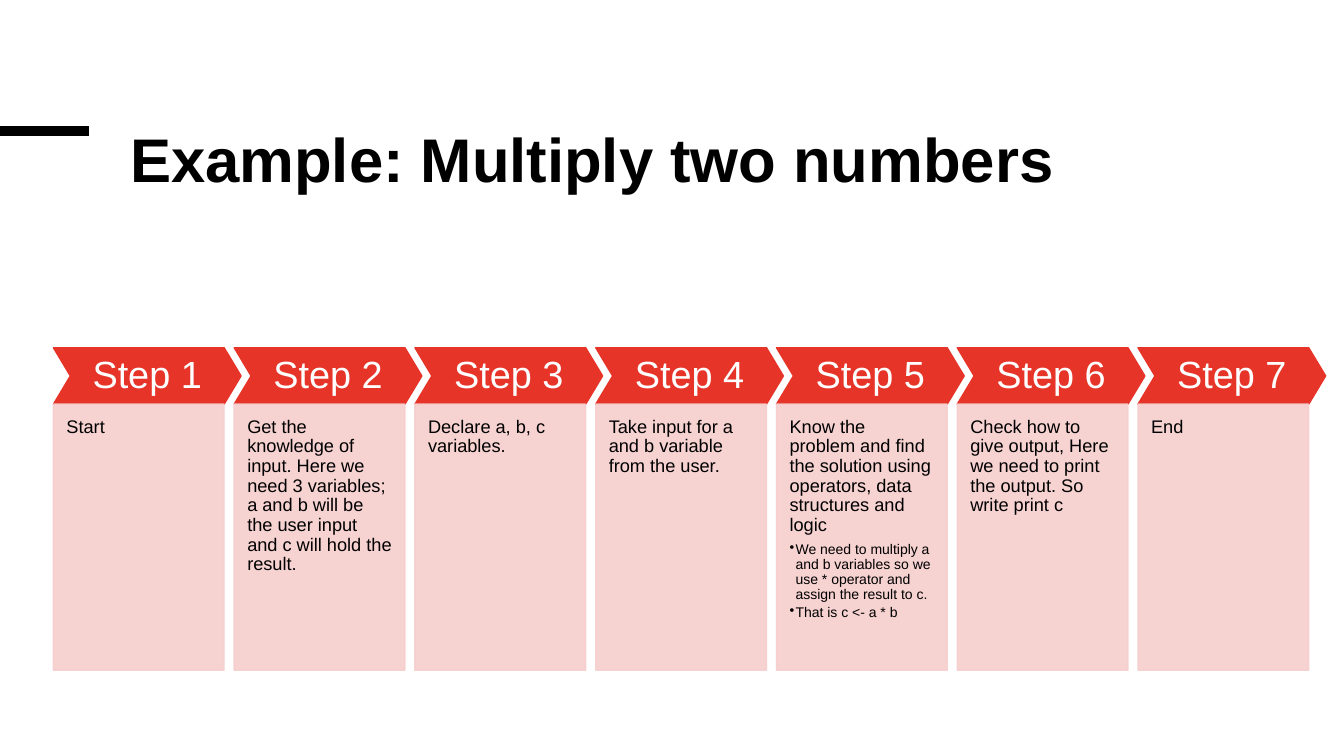
from dataclasses import dataclass

from lxml.etree import SubElement
from pptx import Presentation
from pptx.dml.color import RGBColor
from pptx.enum.shapes import MSO_CONNECTOR, MSO_SHAPE
from pptx.enum.text import MSO_ANCHOR, MSO_AUTO_SIZE, PP_ALIGN
from pptx.oxml.ns import qn
from pptx.util import Inches, Pt


@dataclass(frozen=True)
class Theme:
    font: str = "Arial"
    ink: str = "000000"
    white: str = "FFFFFF"
    header: str = "E73429"
    panel: str = "F6CECD"
    title_size: float = 44
    header_size: float = 27
    body_size: float = 13
    detail_size: float = 10


THEME = Theme()

# Heading, explanation and bulleted details of each step
STEPS = [
    ("Step 1", "Start", []),
    ("Step 2", "Get the knowledge of input. Here we need 3 variables; a and b "
               "will be the user input and c will hold the result.", []),
    ("Step 3", "Declare a, b, c variables.", []),
    ("Step 4", "Take input for a and b variable from the user.", []),
    ("Step 5", "Know the problem and find the solution using operators, data "
               "structures and logic",
     ["We need to multiply a and b variables so we use * operator and assign "
      "the result to c.",
      "That is c <- a * b"]),
    ("Step 6", "Check how to give output, Here we need to print the output. "
               "So write print c", []),
    ("Step 7", "End", []),
]


def write(paragraph, text, size, color=THEME.ink, bold=False,
          align=PP_ALIGN.LEFT, spacing=0.9, after=0, bullet=False):
    paragraph.alignment = align
    paragraph.line_spacing = spacing
    paragraph.space_before = Pt(0)
    paragraph.space_after = Pt(after)
    run = paragraph.add_run()
    run.text = text
    run.font.name = THEME.font
    run.font.size = Pt(size)
    run.font.bold = bold
    run.font.color.rgb = RGBColor.from_string(color)
    if bullet:
        paragraph.level = 1
        properties = paragraph._p.get_or_add_pPr()
        properties.set("marL", str(Inches(0.06)))
        properties.set("indent", str(-Inches(0.06)))
        SubElement(properties, qn("a:buChar"), char="•")


def add_block(slide, preset, left, top, width, height, color, insets,
              anchor, opacity=100):
    block = slide.shapes.add_shape(preset, Inches(left), Inches(top),
                                   Inches(width), Inches(height))
    block.shadow.inherit = False
    block.fill.solid()
    block.fill.fore_color.rgb = RGBColor.from_string(color)
    block.line.color.rgb = RGBColor.from_string(color)
    block.line.width = Pt(1)
    if opacity < 100:
        for tone in block._element.spPr.iter(qn("a:srgbClr")):
            SubElement(tone, qn("a:alpha"), val=str(opacity * 1000))
    frame = block.text_frame
    frame.word_wrap = True
    frame.vertical_anchor = anchor
    (frame.margin_left, frame.margin_top,
     frame.margin_right, frame.margin_bottom) = map(Inches, insets)
    return block


def add_title(slide, text, left, top, width, height):
    # Accent bar running in from the slide edge
    bar_y = Inches(top + 0.11)
    accent = slide.shapes.add_connector(MSO_CONNECTOR.STRAIGHT, 0, bar_y,
                                        Inches(left - 0.31), bar_y)
    accent.line.color.rgb = RGBColor.from_string(THEME.ink)
    accent.line.width = Pt(6.75)
    SubElement(accent._element.spPr, qn("a:effectLst"))

    # Heading
    title = slide.shapes.title
    title.left, title.top = Inches(left), Inches(top)
    title.width, title.height = Inches(width), Inches(height)
    frame = title.text_frame
    frame.word_wrap = True
    frame.auto_size = MSO_AUTO_SIZE.NONE
    frame.vertical_anchor = MSO_ANCHOR.MIDDLE
    write(frame.paragraphs[0], text, THEME.title_size, bold=True, spacing=0.85)


def add_step(slide, step, left, top, width, height):
    heading, explanation, details = step
    header_height = 0.56
    point = 0.3 * header_height

    # Chevron header, its point reaching past the panel
    chevron = add_block(slide, MSO_SHAPE.CHEVRON, left, top, width + point,
                        header_height, THEME.header, [0.07] * 4,
                        MSO_ANCHOR.MIDDLE)
    chevron.adjustments[0] = 0.3
    write(chevron.text_frame.paragraphs[0], heading, THEME.header_size,
          color=THEME.white, align=PP_ALIGN.CENTER)

    # Panel with the explanation
    panel = add_block(slide, MSO_SHAPE.RECTANGLE, left, top + header_height,
                      width, height - header_height, THEME.panel,
                      (0.13, 0.13, 0.13, 0.27), MSO_ANCHOR.TOP, opacity=90)
    frame = panel.text_frame
    write(frame.paragraphs[0], explanation, THEME.body_size, after=5)
    for detail in details:
        write(frame.add_paragraph(), detail, THEME.detail_size, after=1.5,
              bullet=True)


def add_process(slide, steps, left, top, width, height):
    gap = 0.1
    step_width = (width + gap) / len(steps) - gap
    for index, step in enumerate(steps):
        add_step(slide, step, left + index * (step_width + gap), top,
                 step_width, height)


def main():
    deck = Presentation()
    deck.slide_width, deck.slide_height = Inches(13.33), Inches(7.5)
    slide = deck.slides.add_slide(deck.slide_layouts[5])
    add_title(slide, "Example: Multiply two numbers", 1.19, 1.19, 10.85, 0.86)
    add_process(slide, STEPS, 0.53, 3.45, 12.45, 3.2)
    deck.save("out.pptx")


if __name__ == "__main__":
    main()
